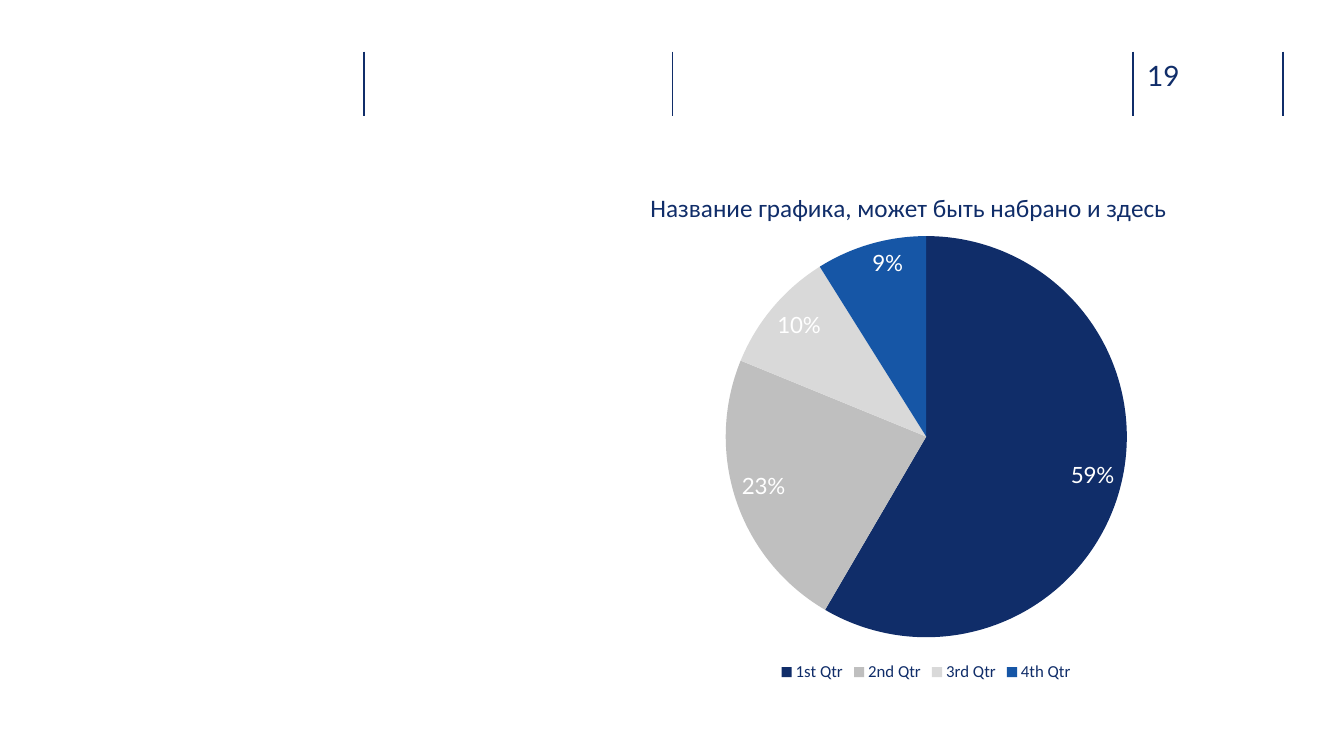
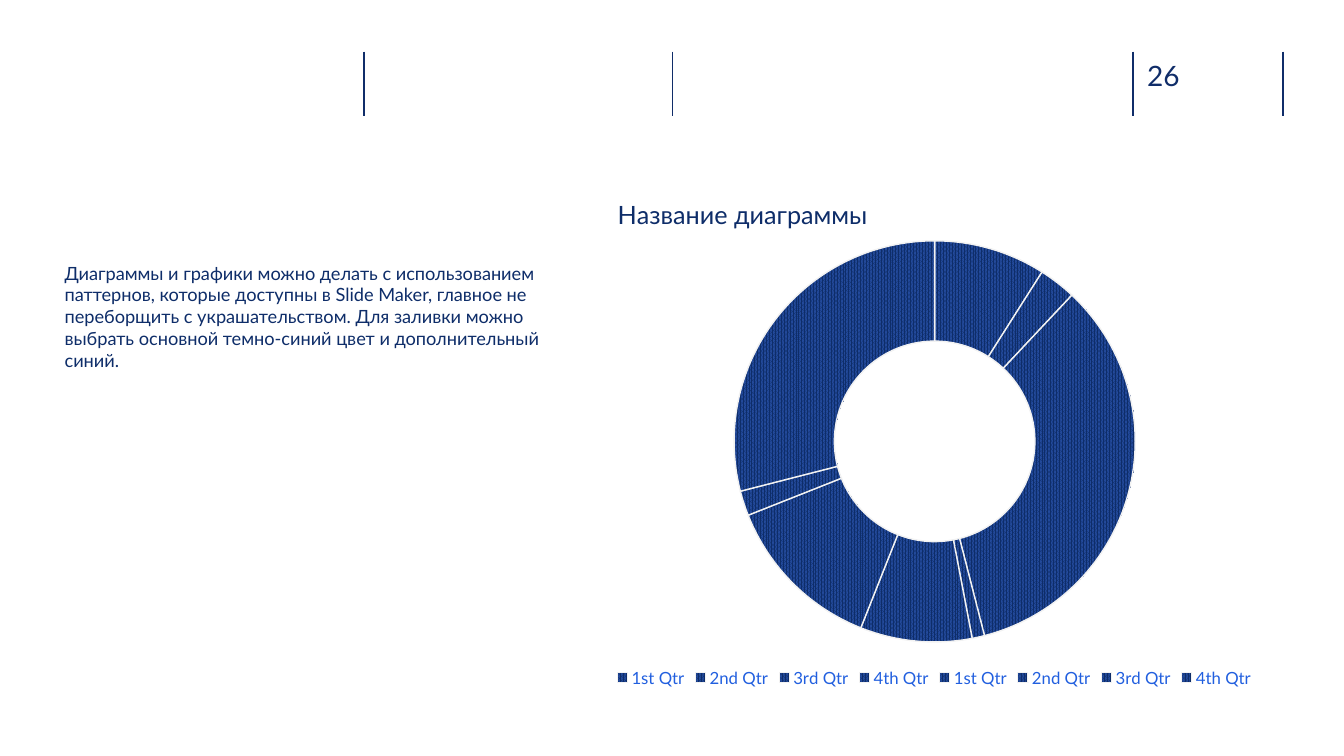
"""Build two chart slides that share a ruled header with a page number."""
from lxml import etree
from pptx import Presentation
from pptx.chart.data import CategoryChartData
from pptx.dml.color import RGBColor
from pptx.enum import chart as ch, dml, shapes
from pptx.oxml.ns import qn
from pptx.util import Cm, Pt

NAVY = RGBColor(0x10, 0x2D, 0x69)
DEEP_NAVY = RGBColor(0x0E, 0x2D, 0x69)
BLUE = RGBColor(0x16, 0x56, 0xA6)
PATTERN_BLUE = RGBColor(0x23, 0x4A, 0x9B)
BRIGHT_BLUE = RGBColor(0x21, 0x5F, 0xDF)
GREY = RGBColor(0xBF, 0xBF, 0xBF)
LIGHT_GREY = RGBColor(0xD9, 0xD9, 0xD9)
PALE = RGBColor(0xF2, 0xF2, 0xF2)
WHITE = RGBColor(0xFF, 0xFF, 0xFF)

HEADER_RULES = (9.17, 16.94, 28.55, 32.33)
RULE_TOP, RULE_BOTTOM = 1.3, 2.92
NUMBER_BOX = (28.91, 1.47, 1.85, 0.86)
NOTE_BOX = (1.63, 6.6, 12.01, 6.65)
QUARTERS = ["1st Qtr", "2nd Qtr", "3rd Qtr", "4th Qtr"]
DIAMETER = 10.11
HOLE_SIZE = 42

SLIDES = [
    {
        "number": "19",
        "kind": ch.XL_CHART_TYPE.PIE,
        "box": (14.35, 4.06, 17.98, 13.23),
        "title": "Название графика, может быть набрано и здесь",
        "title_at": (16.28, 4.69),
        "circle_at": (18.29, 5.95),
        "categories": QUARTERS,
        "values": (59, 23, 10, 9),
        "colours": (NAVY, GREY, LIGHT_GREY, BLUE),
        "font": "Calibri",
        "title_colour": NAVY,
        "legend_colour": NAVY,
    },
    {
        "number": "26",
        "kind": ch.XL_CHART_TYPE.DOUGHNUT,
        "box": (14.91, 4.14, 17.27, 13.28),
        "title": "Название диаграммы",
        "title_at": (15.45, 4.84),
        "circle_at": (18.5, 6.07),
        "categories": QUARTERS * 2,
        "values": (9, 3, 34, 1, 9, 13, 2, 29),
        "font": "Lato",
        "title_colour": DEEP_NAVY,
        "legend_colour": BRIGHT_BLUE,
        "note": "Диаграммы и графики можно делать с использованием паттернов, "
                "которые доступны в Slide Maker, главное не переборщить с "
                "украшательством. Для заливки можно выбрать основной "
                "темно-синий цвет и дополнительный синий.",
    },
]


def style_font(font, size, colour, name="Lato"):
    font.size, font.name, font.bold = Pt(size), name, False
    font.color.rgb = colour


def add_text(slide, words, box, size, colour, space_before=0):
    frame = slide.shapes.add_textbox(*map(Cm, box)).text_frame
    frame.word_wrap = True
    frame.margin_left = frame.margin_top = frame.margin_right = frame.margin_bottom = 0
    paragraph = frame.paragraphs[0]
    paragraph.space_before = Pt(space_before)
    run = paragraph.add_run()
    run.text = words
    style_font(run.font, size, colour)


def add_header(slide, number):
    for x in HEADER_RULES:
        rule = slide.shapes.add_connector(
            shapes.MSO_CONNECTOR.STRAIGHT, Cm(x), Cm(RULE_TOP), Cm(x), Cm(RULE_BOTTOM))
        rule.line.color.rgb = NAVY
        rule.line.width = Pt(1)
        etree.SubElement(rule._element.spPr, qn("a:effectLst"))
    add_text(slide, number, NUMBER_BOX, 20, NAVY)


def set_layout(parent, index, settings):
    for old in parent.findall(qn("c:layout")):
        parent.remove(old)
    layout = etree.Element(qn("c:layout"))
    manual = etree.SubElement(layout, qn("c:manualLayout"))
    for tag, value in settings.items():
        etree.SubElement(manual, qn(f"c:{tag}")).set("val", str(value))
    parent.insert(index, layout)


def place_parts(chart, box, title_at, circle_at):
    left, top, width, height = box

    def fractions(point):
        return {"xMode": "edge", "yMode": "edge",
                "x": round((point[0] - left) / width, 4),
                "y": round((point[1] - top) / height, 4)}

    set_layout(chart.chart_title._element, 1, fractions(title_at))
    size = {"w": round(DIAMETER / width, 4), "h": round(DIAMETER / height, 4)}
    set_layout(chart._chartSpace.chart.plotArea, 0,
               {"layoutTarget": "inner", **fractions(circle_at), **size})


def label_slices(plot):
    plot.has_data_labels = True
    labels = plot.data_labels
    labels.show_value = True
    labels.show_percentage = False
    labels.number_format = '0"%"'
    labels.number_format_is_linked = False
    labels.position = ch.XL_LABEL_POSITION.INSIDE_END
    style_font(labels.font, 16, WHITE)


def paint_slices(series, colours):
    for index in range(len(series.values)):
        slice_format = series.points[index].format
        if colours:
            slice_format.fill.solid()
            slice_format.fill.fore_color.rgb = colours[index]
            slice_format.line.fill.background()
        else:
            slice_format.fill.patterned()
            slice_format.fill.pattern = dml.MSO_PATTERN.PERCENT_80
            slice_format.fill.fore_color.rgb = DEEP_NAVY
            slice_format.fill.back_color.rgb = PATTERN_BLUE
            slice_format.line.color.rgb = PALE
            slice_format.line.width = Pt(1)


def add_quarter_chart(slide, content):
    data = CategoryChartData()
    data.categories = content["categories"]
    data.add_series("Series 1", content["values"])
    chart = slide.shapes.add_chart(
        content["kind"], *map(Cm, content["box"]), data).chart
    style_font(chart.font, 10, NAVY, content["font"])
    chart.has_title = True
    title = chart.chart_title.text_frame
    title.text = content["title"]
    style_font(title.paragraphs[0].runs[0].font, 18,
               content["title_colour"], content["font"])
    chart.has_legend = True
    chart.legend.position = ch.XL_LEGEND_POSITION.BOTTOM
    chart.legend.include_in_layout = False
    style_font(chart.legend.font, 12, content["legend_colour"], content["font"])
    plot = chart.plots[0]
    plot.vary_by_categories = True
    paint_slices(plot.series[0], content.get("colours"))
    if content["kind"] == ch.XL_CHART_TYPE.PIE:
        label_slices(plot)
    else:
        plot._element.find(qn("c:holeSize")).set("val", str(HOLE_SIZE))
    place_parts(chart, content["box"], content["title_at"], content["circle_at"])


def main():
    deck = Presentation()
    deck.slide_width, deck.slide_height = Cm(33.87), Cm(19.05)
    for content in SLIDES:
        slide = deck.slides.add_slide(deck.slide_layouts[6])
        add_header(slide, content["number"])
        if "note" in content:
            add_text(slide, content["note"], NOTE_BOX, 13, DEEP_NAVY, space_before=10)
        add_quarter_chart(slide, content)
    deck.save("out.pptx")


if __name__ == "__main__":
    main()
